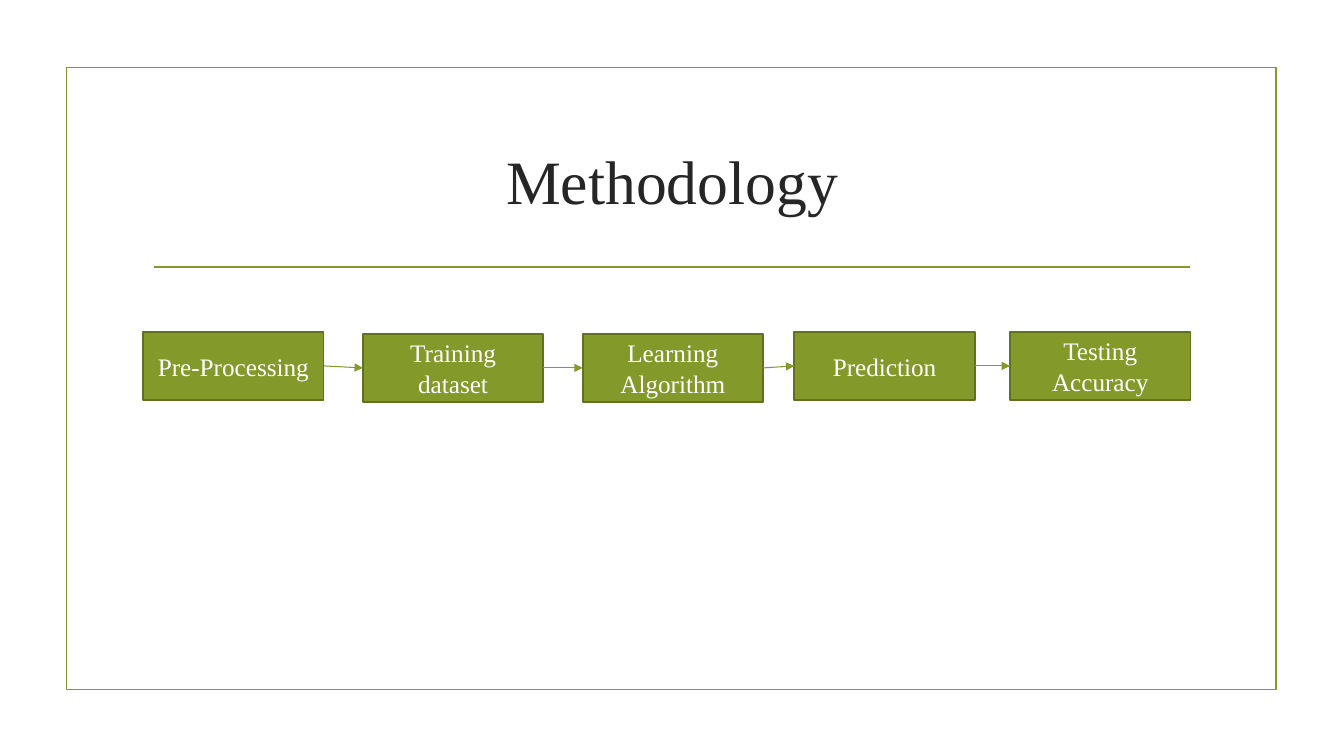
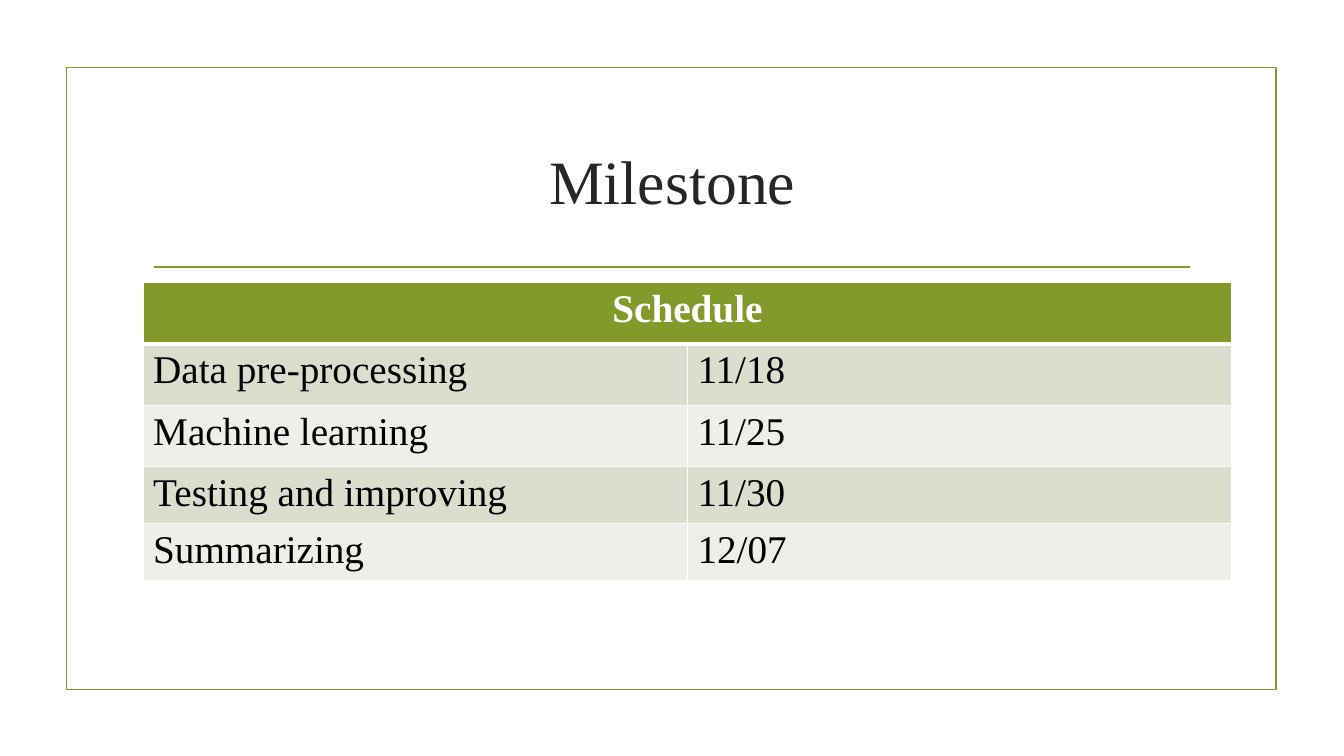
from dataclasses import dataclass

import pptx
import pptx.dml.color
import pptx.enum.shapes
import pptx.enum.text
import pptx.oxml
import pptx.oxml.ns
import pptx.presentation
import pptx.shapes.autoshape
import pptx.slide
import pptx.table
import pptx.text.text
import pptx.util

COLORS = {
    "background": "FFFFFF",
    "accent": "83992A",
    "outline": "61711F",
    "title": "262626",
    "light": "FFFFFF",
    "dark": "000000",
    "band_odd": "D9DECD",
    "band_even": "EDEFE8",
}
FONT = "Times New Roman"
CENTER = pptx.enum.text.PP_ALIGN.CENTER
MIDDLE = pptx.enum.text.MSO_ANCHOR.MIDDLE
RECTANGLE = pptx.enum.shapes.MSO_SHAPE.RECTANGLE

# Grid of square cells, ten to the inch
CELL = 0.1
COLUMNS, ROWS = 133.33, 75
CONTENT_LEFT = 14.2
RIGHT_SITE, LEFT_SITE = 3, 1


@dataclass(frozen=True)
class Box:
    column: float
    row: float
    width: float
    height: float

    def place(self) -> tuple[int, int, int, int]:
        return grid(self.column), grid(self.row), grid(self.width), grid(self.height)


@dataclass(frozen=True)
class Step:
    label: str
    column: float
    row: float


@dataclass(frozen=True)
class Milestone:
    task: str
    date: str
    height: float


FRAME = Box(6.6, 6.7, 120, 61.7)
TITLE = Box(CONTENT_LEFT, 10.7, 105, 14.3)
RULE = Box(15.3, 26.5, 102.8, 0)
STEP_WIDTH, STEP_HEIGHT = 17.9, 6.8
TABLE_ROW, TABLE_WIDTH, HEADER_HEIGHT = 28, 108, 6.1

STEPS = [
    Step("Pre-Processing", CONTENT_LEFT, 32.9),
    Step("Training dataset", 36, 33.1),
    Step("Learning Algorithm", 57.8, 33.1),
    Step("Prediction", 78.8, 32.9),
    Step("Testing Accuracy", 100.2, 32.9),
]
MILESTONES = [
    Milestone("Data pre-processing", "11/18", 6.1),
    Milestone("Machine learning", "11/25", 6.1),
    Milestone("Testing and improving", "11/30", 5.3),
    Milestone("Summarizing", "12/07", 5.3),
]


def grid(cells: float) -> int:
    return pptx.util.Inches(cells * CELL)


def color(name: str) -> pptx.dml.color.RGBColor:
    return pptx.dml.color.RGBColor.from_string(COLORS[name])


def write(frame: pptx.text.text.TextFrame, text: str, size: float, ink: str,
          align=None, bold: bool = False) -> None:
    paragraph = frame.paragraphs[0]
    paragraph.text = text
    paragraph.alignment = align
    paragraph.font.name = FONT
    paragraph.font.size = pptx.util.Pt(size)
    paragraph.font.bold = bold
    paragraph.font.color.rgb = color(ink)


def add_rectangle(slide: pptx.slide.Slide, box: Box, outline: str,
                  fill: str | None = None) -> pptx.shapes.autoshape.Shape:
    shape = slide.shapes.add_shape(RECTANGLE, *box.place())
    shape.shadow.inherit = False
    if fill:
        shape.fill.solid()
        shape.fill.fore_color.rgb = color(fill)
    else:
        shape.fill.background()
    shape.line.color.rgb = color(outline)
    shape.line.width = pptx.util.Pt(1.25)
    return shape


def add_line(slide: pptx.slide.Slide, box: Box, width: float):
    left, top, across, down = box.place()
    line = slide.shapes.add_connector(
        pptx.enum.shapes.MSO_CONNECTOR.STRAIGHT, left, top, left + across, top + down)
    line.line.color.rgb = color("accent")
    line.line.width = pptx.util.Pt(width)
    properties = line._element.spPr
    properties.append(properties.makeelement(pptx.oxml.ns.qn("a:effectLst"), {}))
    return line


def add_arrow(slide: pptx.slide.Slide, start: pptx.shapes.autoshape.Shape,
              end: pptx.shapes.autoshape.Shape) -> None:
    arrow = add_line(slide, Box(0, 0, 1, 0), 0.75)
    arrow.begin_connect(start, RIGHT_SITE)
    arrow.end_connect(end, LEFT_SITE)
    outline = arrow.line._get_or_add_ln()
    outline.append(outline.makeelement(pptx.oxml.ns.qn("a:tailEnd"), {"type": "triangle"}))


def add_titled_slide(presentation: pptx.presentation.Presentation,
                     title: str) -> pptx.slide.Slide:
    slide = presentation.slides.add_slide(presentation.slide_layouts[6])
    slide.background.fill.solid()
    slide.background.fill.fore_color.rgb = color("background")
    add_rectangle(slide, FRAME, "accent")
    add_line(slide, RULE, 1.25)
    frame = slide.shapes.add_textbox(*TITLE.place()).text_frame
    frame.word_wrap = True
    frame.vertical_anchor = MIDDLE
    write(frame, title, 44, "title", CENTER)
    return slide


def style_cell(cell: pptx.table._Cell, fill: str, top: float, bottom: float) -> None:
    properties = cell._tc.get_or_add_tcPr()
    # Borders come before the fill in the cell properties
    for side, width in (("L", 1), ("R", 1), ("T", top), ("B", bottom)):
        properties.append(pptx.oxml.parse_xml(
            f'<a:ln{side} {pptx.oxml.ns.nsdecls("a")} w="{pptx.util.Pt(width)}">'
            f'<a:solidFill><a:srgbClr val="{COLORS["light"]}"/></a:solidFill>'
            f'</a:ln{side}>'))
    cell.fill.solid()
    cell.fill.fore_color.rgb = color(fill)


def build_methodology(presentation: pptx.presentation.Presentation) -> None:
    slide = add_titled_slide(presentation, "Methodology")
    # Process steps
    boxes = []
    for step in STEPS:
        box = Box(step.column, step.row, STEP_WIDTH, STEP_HEIGHT)
        shape = add_rectangle(slide, box, "outline", "accent")
        shape.text_frame.word_wrap = True
        shape.text_frame.vertical_anchor = MIDDLE
        write(shape.text_frame, step.label, 18, "light", CENTER)
        boxes.append(shape)
    # Arrows between neighbours
    for start, end in zip(boxes, boxes[1:]):
        add_arrow(slide, start, end)


def build_milestone(presentation: pptx.presentation.Presentation) -> None:
    slide = add_titled_slide(presentation, "Milestone")
    heights = [HEADER_HEIGHT] + [milestone.height for milestone in MILESTONES]
    box = Box(CONTENT_LEFT, TABLE_ROW, TABLE_WIDTH, sum(heights))
    table = slide.shapes.add_table(len(heights), 2, *box.place()).table
    table.horz_banding = False
    for row, height in zip(table.rows, heights):
        row.height = grid(height)
    # Header across both columns
    header = table.cell(0, 0)
    header.merge(table.cell(0, 1))
    for cell in table.rows[0].cells:
        style_cell(cell, "accent", 1, 3)
    write(header.text_frame, "Schedule", 28, "light", CENTER, bold=True)
    # Tasks and dates
    for index, milestone in enumerate(MILESTONES, start=1):
        band = "band_odd" if index % 2 else "band_even"
        for column, text in enumerate((milestone.task, milestone.date)):
            cell = table.cell(index, column)
            style_cell(cell, band, 3 if index == 1 else 1, 1)
            write(cell.text_frame, text, 28, "dark")


def main() -> None:
    presentation = pptx.Presentation()
    presentation.slide_width = grid(COLUMNS)
    presentation.slide_height = grid(ROWS)
    build_methodology(presentation)
    build_milestone(presentation)
    presentation.save("out.pptx")


if __name__ == "__main__":
    main()
